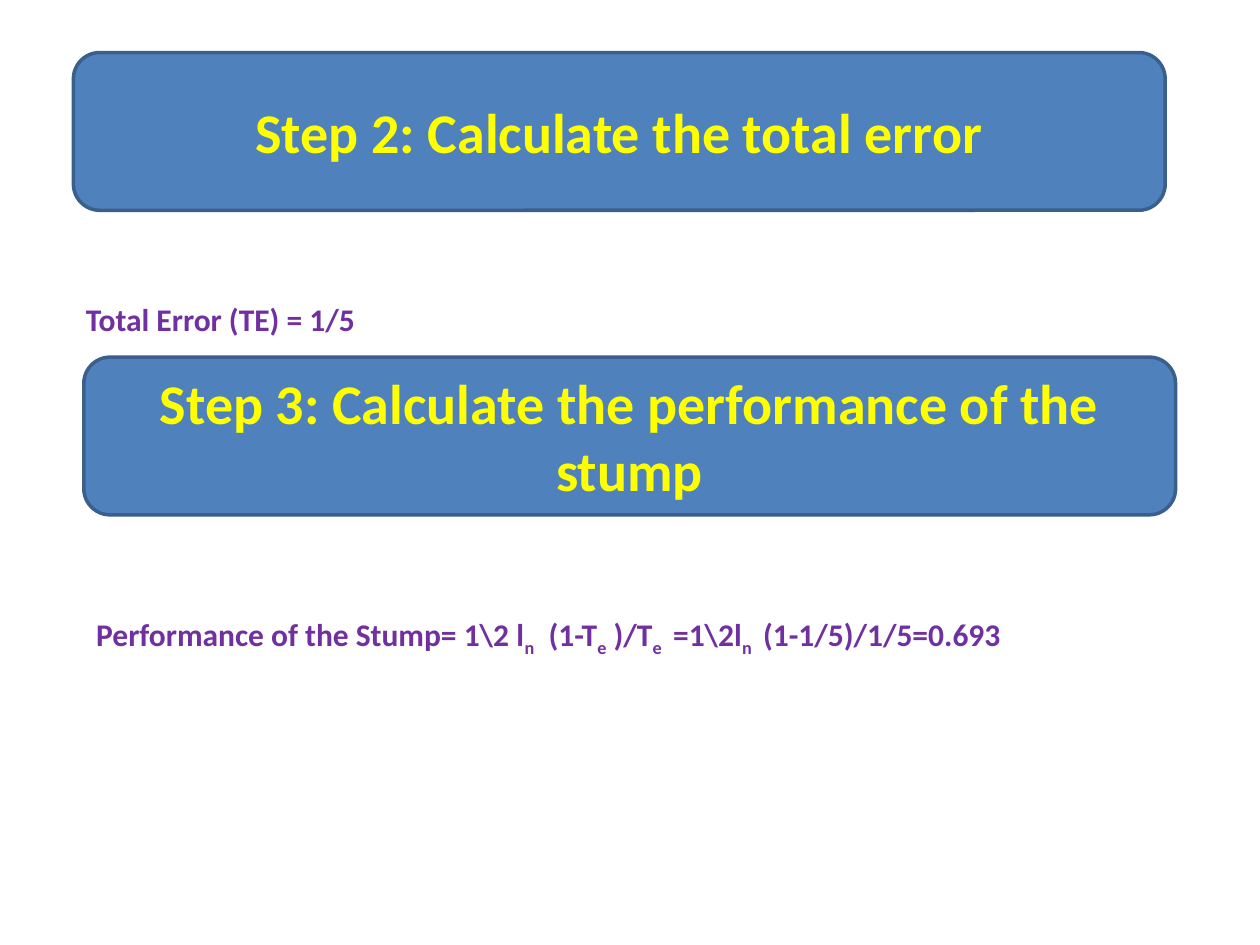
from dataclasses import dataclass

from pptx import Presentation
from pptx import util as u
from pptx.dml.color import RGBColor
from pptx.enum import shapes, text


@dataclass(frozen=True)
class Theme:
    font: str = "Calibri"
    banner_size: int = 32
    result_size: int = 18
    banner_fill: str = "4F81BD"
    banner_line: str = "3A5F8C"
    banner_text: str = "FFFF00"
    result_text: str = "7030A0"
    line_width: int = 2
    subscript: str = "-25000"


theme = Theme()

BANNER_WIDTH, BANNER_HEIGHT = 22.01, 3.18

STEPS = [
    {
        "heading": "Step 2: Calculate the total error",
        "left": 1.48, "top": 1.06,
        "result": [("Total Error (TE) = 1/5", False)],
        "result_box": (5.93, 23.07, 1.8),
    },
    {
        "heading": "Step 3: Calculate the performance of the stump",
        "left": 1.69, "top": 7.2,
        "result": [
            ("Performance of the Stump= 1\\2 l", False), ("n", True),
            ("  (1-T", False), ("e", True),
            (" )/T", False), ("e ", True),
            (" =1\\2l", False), ("n ", True),
            (" (1-1/5)/1/5=0.693", False),
        ],
        "result_box": (12.28, 20.11, 1.03),
    },
]


def style(paragraph, size, color):
    paragraph.font.name = theme.font
    paragraph.font.size = u.Pt(size)
    paragraph.font.bold = True
    paragraph.font.color.rgb = RGBColor.from_string(color)


def add_banner(slide, step):
    banner = slide.shapes.add_shape(
        shapes.MSO_SHAPE.ROUNDED_RECTANGLE,
        u.Cm(step["left"]), u.Cm(step["top"]),
        u.Cm(BANNER_WIDTH), u.Cm(BANNER_HEIGHT))
    banner.shadow.inherit = False
    banner.fill.solid()
    banner.fill.fore_color.rgb = RGBColor.from_string(theme.banner_fill)
    banner.line.color.rgb = RGBColor.from_string(theme.banner_line)
    banner.line.width = u.Pt(theme.line_width)
    frame = banner.text_frame
    frame.word_wrap = True
    frame.vertical_anchor = text.MSO_ANCHOR.MIDDLE
    heading = frame.paragraphs[0]
    heading.text = step["heading"]
    heading.alignment = text.PP_ALIGN.CENTER
    style(heading, theme.banner_size, theme.banner_text)


def add_result(slide, step):
    top, width, height = step["result_box"]
    result = slide.shapes.add_textbox(
        u.Cm(step["left"]), u.Cm(top), u.Cm(width), u.Cm(height))
    result.text_frame.word_wrap = True
    formula = result.text_frame.paragraphs[0]
    style(formula, theme.result_size, theme.result_text)
    for wording, is_subscript in step["result"]:
        term = formula.add_run()
        term.text = wording
        if is_subscript:
            term._r.get_or_add_rPr().set("baseline", theme.subscript)


def main():
    deck = Presentation()
    deck.slide_width, deck.slide_height = u.Cm(25.4), u.Cm(19.05)
    slide = deck.slides.add_slide(deck.slide_layouts.get_by_name("Blank"))
    for step in STEPS:
        add_banner(slide, step)
        add_result(slide, step)
    deck.save("out.pptx")


if __name__ == "__main__":
    main()
